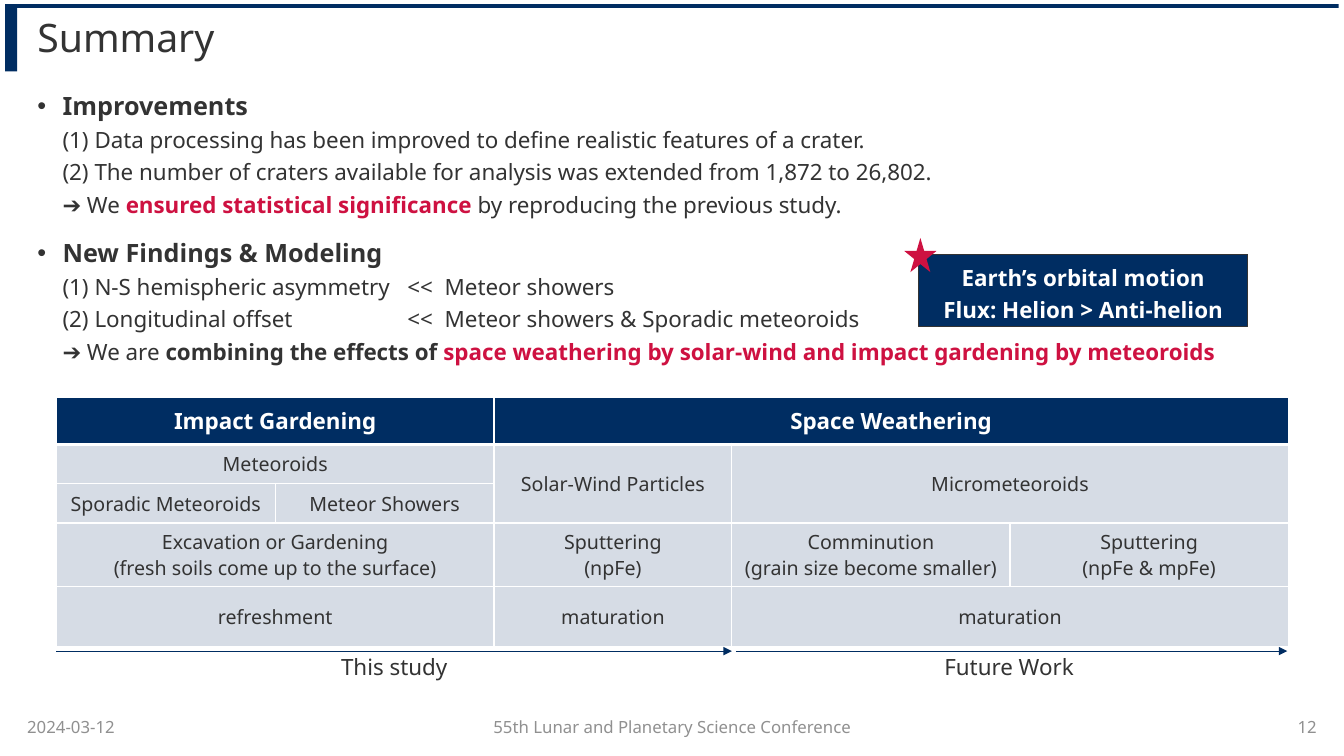
from dataclasses import dataclass
from copy import deepcopy
from itertools import product
from typing import NamedTuple

from lxml.etree import SubElement
from pptx import Presentation
from pptx.dml.color import RGBColor
from pptx.enum.shapes import MSO_CONNECTOR as Connector, MSO_SHAPE as Preset
from pptx.enum.text import MSO_ANCHOR as Anchor, MSO_AUTO_SIZE as Fit, PP_ALIGN as Align
from pptx.oxml.ns import qn
from pptx.util import Emu, Inches, Pt


@dataclass(frozen=True)
class Theme:
    font: str = "Noto Sans"
    navy: str = "002D62"
    red: str = "CE1141"
    ink: str = "333333"
    grey: str = "909090"
    cell: str = "D6DCE5"
    white: str = "FFFFFF"
    title: int = 28
    heading: int = 18
    text: int = 16
    table: int = 14
    footer: int = 12


THEME = Theme()
WIDTH, HEIGHT = Inches(13.33), Inches(7.5)


class Area(NamedTuple):
    left: float
    top: float
    width: float
    height: float

    def lengths(self) -> tuple[Emu, Emu, Emu, Emu]:
        return across(self.left), down(self.top), across(self.width), down(self.height)


class Span(NamedTuple):
    text: str
    size: int = THEME.text
    color: str = THEME.ink
    bold: bool = False


class Entry(NamedTuple):
    row: int
    column: int
    lines: tuple[str, ...]
    rows: int = 1
    columns: int = 1


class Label(NamedTuple):
    area: Area
    span: Span
    align: Align
    anchor: Anchor


class Arrow(NamedTuple):
    start: float
    end: float


BARS = [Area(0.38, 0.53, 0.9, 8.93), Area(0.38, 0.53, 99.23, 0.53)]
TITLE = Area(1.28, 1.07, 97.43, 8.4)
BODY = Area(1.28, 10.53, 97.43, 81.33)
CALLOUT = Area(68.33, 33.6, 24.53, 9.6)
STAR = Area(67.28, 31.47, 2.4, 4.53)
TABLE = Area(4.2, 52.53, 91.5, 32.4)
COLUMNS = (16.28, 16.28, 17.7, 20.7, 20.7)
ROWS = (6.27, 5.2, 5.2, 7.87, 7.87)
ARROW_LEVEL = 86.13
ARROWS = [Arrow(4.2, 54.45), Arrow(54.75, 95.78)]
TAB_STOPS = (3.67, 4.04)

POINTS = [
    [
        [Span("Improvements", THEME.heading, bold=True)],
        [Span("(1) Data processing has been improved to define realistic features of a crater.")],
        [Span("(2) The number of craters available for analysis was extended from 1,872 to 26,802.")],
        [Span("➔ We "), Span("ensured statistical significance", color=THEME.red, bold=True),
         Span(" by reproducing the previous study.")],
    ],
    [
        [Span("New Findings & Modeling", THEME.heading, bold=True)],
        [Span("(1) N-S hemispheric asymmetry\t<<\tMeteor showers")],
        [Span("(2) Longitudinal offset\t<<\tMeteor showers & Sporadic meteoroids")],
        [Span("➔ We are "), Span("combining the effects of ", bold=True),
         Span("space weathering by solar-wind and impact gardening by meteoroids",
              color=THEME.red, bold=True)],
    ],
]

ENTRIES = [
    Entry(0, 0, ("Impact Gardening",), columns=2),
    Entry(0, 2, ("Space Weathering",), columns=3),
    Entry(1, 0, ("Meteoroids",), columns=2),
    Entry(1, 2, ("Solar-Wind Particles",), rows=2),
    Entry(1, 3, ("Micrometeoroids",), rows=2, columns=2),
    Entry(2, 0, ("Sporadic Meteoroids",)),
    Entry(2, 1, ("Meteor Showers",)),
    Entry(3, 0, ("Excavation or Gardening", "(fresh soils come up to the surface)"), columns=2),
    Entry(3, 2, ("Sputtering", "(npFe)")),
    Entry(3, 3, ("Comminution", "(grain size become smaller)")),
    Entry(3, 4, ("Sputtering", "(npFe & mpFe)")),
    Entry(4, 0, ("refreshment",), columns=2),
    Entry(4, 2, ("maturation",)),
    Entry(4, 3, ("maturation",), columns=2),
]


def footer(left: float, width: float, text: str, align: Align) -> Label:
    return Label(Area(left, 93.47, width, 5.2), Span(text, THEME.footer, THEME.grey), align, Anchor.MIDDLE)


def caption(left: float, text: str) -> Label:
    return Label(Area(left, 85.73, 12.9, 4.93), Span(text), Align.CENTER, Anchor.TOP)


LABELS = [
    footer(1.28, 23.63, "2024-03-12", Align.LEFT),
    footer(26.4, 47.25, "55th Lunar and Planetary Science Conference", Align.CENTER),
    footer(75.08, 23.63, "12", Align.RIGHT),
    caption(22.88, "This study"),
    caption(68.63, "Future Work"),
]


def across(share: float) -> Emu:
    return Emu(round(WIDTH * share / 100))


def down(share: float) -> Emu:
    return Emu(round(HEIGHT * share / 100))


def place(shape, area: Area) -> None:
    shape.left, shape.top, shape.width, shape.height = area.lengths()


def write(para, span: Span):
    run = para.add_run()
    run.text = span.text
    run.font.name, run.font.size, run.font.bold = THEME.font, Pt(span.size), span.bold
    run.font.color.rgb = RGBColor.from_string(span.color)
    return run


def write_lines(frame, spans: list[Span], align: Align, spacing: float = 1.0) -> None:
    for index, span in enumerate(spans):
        para = frame.add_paragraph() if index else frame.paragraphs[0]
        para.alignment, para.line_spacing = align, spacing
        write(para, span)


def prepare(frame, anchor: Anchor, side: float = 0.1) -> None:
    frame.word_wrap, frame.auto_size, frame.vertical_anchor = True, Fit.NONE, anchor
    frame.margin_left = frame.margin_right = Inches(side)
    frame.margin_top = frame.margin_bottom = Inches(0.05)


def draw_shape(page, preset: Preset, area: Area, fill: str, outline: str = ""):
    shape = page.shapes.add_shape(preset, *area.lengths())
    shape.shadow.inherit = False
    shape.fill.solid()
    shape.fill.fore_color.rgb = RGBColor.from_string(fill)
    if outline:
        shape.line.color.rgb = RGBColor.from_string(outline)
        shape.line.width = Pt(0.75)
    else:
        shape.line.fill.background()
    return shape


def add_bullet(para) -> None:
    properties = para._p.get_or_add_pPr()
    properties.set("marL", str(Inches(0.25)))
    properties.set("indent", str(-Inches(0.25)))
    SubElement(properties, qn("a:buFont"), typeface="Arial")
    SubElement(properties, qn("a:buChar"), char="•")
    stops = SubElement(properties, qn("a:tabLst"))
    for stop in TAB_STOPS:
        SubElement(stops, qn("a:tab"), pos=str(Inches(stop)), algn="l")


def draw_body(body) -> None:
    place(body, BODY)
    prepare(body.text_frame, Anchor.TOP, 0.2)
    for index, lines in enumerate(POINTS):
        para = body.text_frame.add_paragraph() if index else body.text_frame.paragraphs[0]
        add_bullet(para)
        para.line_spacing, para.space_before = 1.2, Pt(10 if index else 0)
        for number, spans in enumerate(lines):
            if number:
                para.add_line_break()
                para._p.findall(qn("a:br"))[-1].append(deepcopy(run._r.rPr))
            for span in spans:
                run = write(para, span)


def add_border(cell, side: str, points: int) -> None:
    line = SubElement(cell._tc.get_or_add_tcPr(), qn(f"a:{side}"), w=str(Pt(points)))
    SubElement(SubElement(line, qn("a:solidFill")), qn("a:srgbClr"), val=THEME.white)


def draw_table(page) -> None:
    table = page.shapes.add_table(len(ROWS), len(COLUMNS), *TABLE.lengths()).table
    table.horz_banding = False
    for column, share in zip(table.columns, COLUMNS):
        column.width = across(share)
    for row, share in zip(table.rows, ROWS):
        row.height = down(share)
    for row, column in product(range(len(ROWS)), range(len(COLUMNS))):
        cell = table.cell(row, column)
        for side in ("lnL", "lnR", "lnT", "lnB"):
            add_border(cell, side, 3 if (row, side) in ((0, "lnB"), (1, "lnT")) else 1)
        cell.fill.solid()
        cell.fill.fore_color.rgb = RGBColor.from_string(THEME.cell if row else THEME.navy)
        cell.vertical_anchor = Anchor.MIDDLE
    for entry in ENTRIES:
        cell = table.cell(entry.row, entry.column)
        if entry.rows * entry.columns > 1:
            cell.merge(table.cell(entry.row + entry.rows - 1, entry.column + entry.columns - 1))
        style = (THEME.table, THEME.ink, False) if entry.row else (THEME.text, THEME.white, True)
        write_lines(cell.text_frame, [Span(line, *style) for line in entry.lines], Align.CENTER)


def draw_label(page, label: Label) -> None:
    box = page.shapes.add_textbox(*label.area.lengths())
    prepare(box.text_frame, label.anchor)
    write_lines(box.text_frame, [label.span], label.align)


def draw_arrow(page, arrow: Arrow) -> None:
    level = down(ARROW_LEVEL)
    line = page.shapes.add_connector(Connector.STRAIGHT, across(arrow.start), level, across(arrow.end), level)
    line.line.color.rgb = RGBColor.from_string(THEME.navy)
    line.line.width = Pt(0.5)
    SubElement(line.line._get_or_add_ln(), qn("a:tailEnd"), type="triangle")
    SubElement(line._element.spPr, qn("a:effectLst"))


def draw_callout(page) -> None:
    box = draw_shape(page, Preset.RECTANGLE, CALLOUT, THEME.navy, THEME.ink)
    prepare(box.text_frame, Anchor.TOP)
    lines = ("Earth’s orbital motion", "Flux: Helion > Anti-helion")
    write_lines(box.text_frame, [Span(line, color=THEME.white, bold=True) for line in lines], Align.CENTER, 1.2)
    draw_shape(page, Preset.STAR_5_POINT, STAR, THEME.red)


def main() -> None:
    deck = Presentation()
    deck.slide_width, deck.slide_height = WIDTH, HEIGHT
    page = deck.slides.add_slide(deck.slide_layouts[1])
    title = page.shapes.title
    place(title, TITLE)
    prepare(title.text_frame, Anchor.MIDDLE, 0.2)
    write_lines(title.text_frame, [Span("Summary", THEME.title)], Align.LEFT, 0.9)
    draw_body(page.placeholders[1])
    for bar in BARS:
        draw_shape(page, Preset.RECTANGLE, bar, THEME.navy)
    draw_table(page)
    for label in LABELS:
        draw_label(page, label)
    for arrow in ARROWS:
        draw_arrow(page, arrow)
    draw_callout(page)
    deck.save("out.pptx")


if __name__ == "__main__":
    main()
